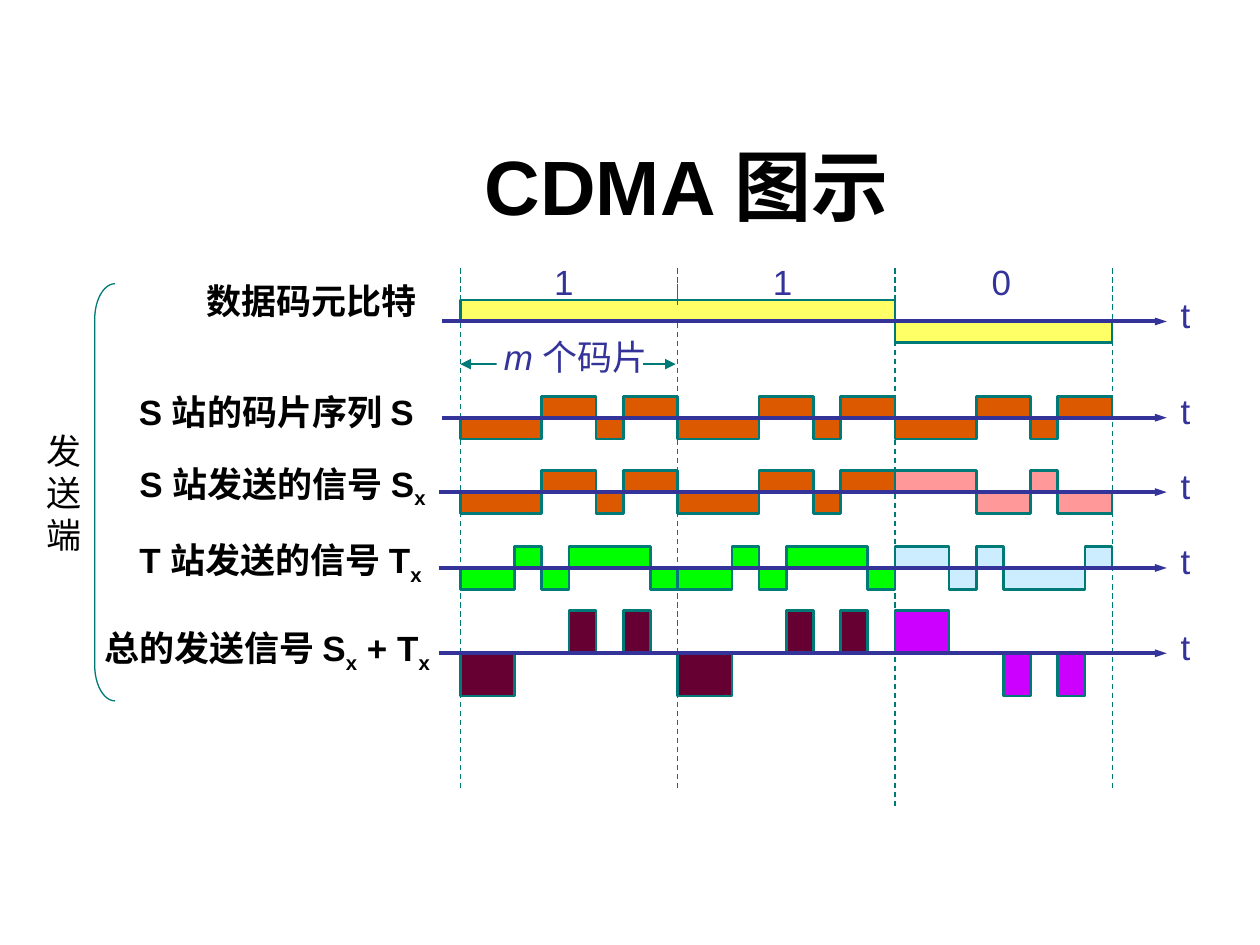
from lxml import etree
from pptx import Presentation
from pptx import util as u
from pptx.dml.color import RGBColor
from pptx.enum import dml, shapes, text
from pptx.oxml.ns import qn

TEAL = RGBColor(0x00, 0x7A, 0x77)
NAVY = RGBColor(0x33, 0x33, 0x99)
BLACK = RGBColor(0x00, 0x00, 0x00)
WHITE = RGBColor(0xFF, 0xFF, 0xFF)
RUST = RGBColor(0xDC, 0x59, 0x00)
PINK = RGBColor(0xFF, 0x99, 0x99)
GREEN = RGBColor(0x00, 0xFF, 0x00)
SKY = RGBColor(0xCC, 0xEC, 0xFF)
WINE = RGBColor(0x66, 0x00, 0x33)
PURPLE = RGBColor(0xCC, 0x00, 0xFF)
LEMON = RGBColor(0xFF, 0xFF, 0x66)

LEFT, BIT, AMP = 9.28, 4.38, 0.43
CHIP = BIT / 8
S = [-1, -1, -1, 1, 1, -1, 1, 1]
T = [-1, -1, 1, -1, 1, 1, 1, -1]
SUM = [s + t for s, t in zip(S, T)]


def flip(code):
    return [-c for c in code]


def write(frame, words, size=20, color=BLACK, bold=False, mark="sub",
          space=None, align=None):
    """Fill a frame line by line; parts between underscores get the mark."""
    for n, line in enumerate(words.split("\n")):
        par = frame.add_paragraph() if n else frame.paragraphs[0]
        par.alignment = align
        par.line_spacing = space
        for i, part in enumerate(line.split("_")):
            if not part:
                continue
            run = par.add_run()
            run.text = part
            font = run.font
            font.name, font.size, font.bold = "Arial", u.Pt(size), bold
            font.color.rgb = color
            if i % 2 and mark == "sub":
                font._element.set("baseline", "-25000")
            elif i % 2:
                font.italic = True


class Board:
    def __init__(self, slide, thin=0.74, mid=1.5, thick=2.24):
        self.slide, self.all = slide, slide.shapes
        self.thin, self.mid, self.thick = thin, mid, thick

    def title(self, words, x, y, w, h):
        box = self.all.title
        box.left, box.top, box.width, box.height = map(u.Cm, (x, y, w, h))
        box.text_frame.vertical_anchor = text.MSO_ANCHOR.BOTTOM
        write(box.text_frame, words, size=44, bold=True,
              align=text.PP_ALIGN.CENTER)

    def label(self, words, x, y, w, h=1.12, **style):
        frame = self.all.add_textbox(*map(u.Cm, (x, y, w, h))).text_frame
        frame.word_wrap = False
        frame.auto_size = text.MSO_AUTO_SIZE.SHAPE_TO_FIT_TEXT
        write(frame, words, **style)

    def line(self, x, y, x2, y2, color=TEAL, width=None, dash=False,
             ends=(), wide="med"):
        rule = self.all.add_connector(shapes.MSO_CONNECTOR.STRAIGHT,
                                      *map(u.Cm, (x, y, x2, y2)))
        rule.line.color.rgb = color
        rule.line.width = u.Pt(width or self.thin)
        if dash:
            rule.line.dash_style = dml.MSO_LINE.DASH
        props = rule._element.spPr
        for end in ends:
            etree.SubElement(props.find(qn("a:ln")), qn("a:" + end),
                             type="triangle", w=wide, len="med")
        etree.SubElement(props, qn("a:effectLst"))

    def axis(self, x, y):
        self.line(x, y, 23.52, y, NAVY, self.thick, ends=["tailEnd"],
                  wide="sm")
        self.label("t", 23.55, y - 0.69, 0.69, color=NAVY)

    def wave(self, x, y, code, fill, step=CHIP):
        pts = [(x, y)]
        for n, level in enumerate(code):
            high = y - level * AMP
            pts += [(x + n * step, high), (x + (n + 1) * step, high)]
        pts.append((x + len(code) * step, y))
        pts = [(u.Cm(a), u.Cm(b)) for a, b in pts]
        pen = self.all.build_freeform(*pts[0])
        pen.add_line_segments(pts[1:], close=False)
        self.paint(pen.convert_to_shape(), fill, TEAL, self.mid)

    def shape(self, kind, x, y, w, h, fill=None, color=None):
        item = self.all.add_shape(kind, *map(u.Cm, (x, y, w, h)))
        self.paint(item, fill, color, self.thin)
        return item

    def paint(self, item, fill, color, width):
        item.shadow.inherit = False
        if fill is None:
            item.fill.background()
        else:
            item.fill.solid()
            item.fill.fore_color.rgb = fill
        if color is None:
            item.line.fill.background()
        else:
            item.line.color.rgb = color
            item.line.width = u.Pt(width)


deck = Presentation()
deck.slide_width, deck.slide_height = u.Cm(25.4), u.Cm(19.05)
board = Board(deck.slides.add_slide(deck.slide_layouts[5]))
board.title("CDMA 图示 ", 3.2, 0.72, 21.64, 4.06)

for n, foot in enumerate([15.95, 15.9, 16.31, 15.93]):
    edge = LEFT + n * BIT
    board.line(edge, 5.41, edge, foot, dash=True)
for n, bit in enumerate("110"):
    board.label(bit, 10.92 + n * 4.41, 5.13, 0.89, color=NAVY)

board.wave(LEFT, 6.48, [1, 1, -1], LEMON, step=BIT)
board.line(LEFT + BIT, 5.72, LEFT + BIT, 6.15)
board.axis(8.92, 6.48)

board.line(LEFT, 7.34, LEFT + BIT - 0.04, 7.34, ends=["headEnd", "tailEnd"])
board.shape(shapes.MSO_SHAPE.RECTANGLE, 10.01, 6.91, 2.95, 0.76, fill=WHITE)
board.label("_m _个码片", 9.91, 6.63, 3.58, color=NAVY, mark="ital")

rows = [
    (8.92, 8.42, [S, S, S], [RUST, RUST, RUST]),
    (8.84, 9.92, [S, S, flip(S)], [RUST, RUST, PINK]),
    (8.84, 11.45, [T, T, flip(T)], [GREEN, GREEN, SKY]),
    (8.84, 13.17, [SUM, SUM, flip(SUM)], [WINE, WINE, PURPLE]),
]
for start, y, codes, fills in rows:
    for n, (code, fill) in enumerate(zip(codes, fills)):
        board.wave(LEFT + n * BIT, y, code, fill)
    board.axis(start, y)

names = [
    ("数据码元比特", 3.91, 5.51, 4.75, 1.12, None),
    ("S 站的码片序列 S", 2.55, 7.87, 6.45, 0.99, 0.85),
    ("S 站发送的信号 S_x", 2.56, 9.19, 6.8, 1.22, None),
    ("T 站发送的信号 T_x", 2.56, 10.73, 6.7, 1.22, None),
    ("总的发送信号 S_x_ + T_x", 1.85, 12.5, 7.4, 1.22, None),
]
for words, x, y, w, h, space in names:
    board.label(words, x, y, w, h, bold=True, space=space)

board.label("发\n送\n端", 0.69, 8.53, 1.22, 2.79)
brace = board.shape(shapes.MSO_SHAPE.LEFT_BRACKET, 1.91, 5.72, 0.41, 8.41,
                    color=TEAL)
brace.adjustments[0] = 1.75
deck.save("out.pptx")
